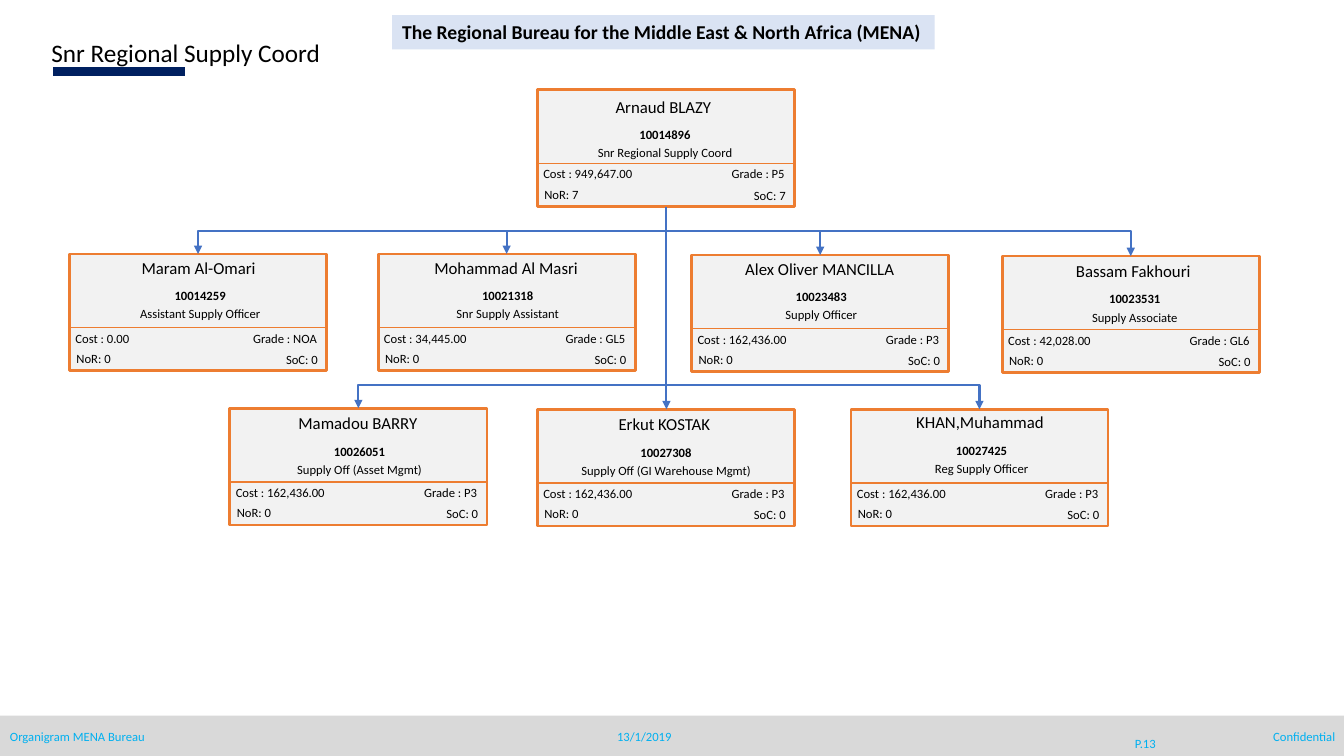
"""Build the organigram slide of the regional supply coordination team."""
from lxml.etree import SubElement
from pptx import Presentation
from pptx.dml.color import RGBColor
from pptx.enum.shapes import MSO_CONNECTOR as Connector, MSO_SHAPE as Shape
from pptx.enum.text import MSO_ANCHOR as Anchor, PP_ALIGN as Align
from pptx.oxml.ns import qn
from pptx.util import Inches, Pt

BLACK, ORANGE, BLUE, CYAN = "000000", "ED7D31", "4472C4", "00B0F0"
CARD_WIDTH, CARD_HEIGHT = 2.55, 1.16
TRUNK_X = 6.61


def write(shape, box, text, size=9, align=Align.LEFT, bold=False, color=BLACK,
          anchor=Anchor.TOP, wrap=True):
    shape.left, shape.top, shape.width, shape.height = map(Inches, box)
    frame = shape.text_frame
    frame.text = text
    frame.word_wrap, frame.vertical_anchor = wrap, anchor
    paragraph = frame.paragraphs[0]
    paragraph.alignment = align
    font = paragraph.runs[0].font
    for name, value in {"size": Pt(size), "bold": bold, "name": "Calibri"}.items():
        setattr(font, name, value)
    font.color.rgb = RGBColor.from_string(color)


def connect(start, end, color, width, kind=Connector.STRAIGHT, arrow=False):
    line = slide.shapes.add_connector(kind, *map(Inches, start + end))
    line.line.color.rgb = RGBColor.from_string(color)
    line.line.width = Pt(width)
    properties = line._element.spPr
    if kind == Connector.ELBOW:
        properties.find(qn("a:prstGeom")).set("prst", "bentConnector2")
    if arrow:
        SubElement(properties.find(qn("a:ln")), qn("a:tailEnd"), type="triangle")
    SubElement(properties, qn("a:effectLst"))


presentation = Presentation()
presentation.slide_width, presentation.slide_height = Inches(13.33), Inches(7.5)
slide = presentation.slides.add_slide(presentation.slide_layouts[5])

connect((0.53, 0.71), (1.84, 0.71), "002060", 7)
write(slide.shapes.title, (0.41, 0.32, 5.3, 0.41), "Snr Regional Supply Coord", 18)

footer_band = slide.shapes.add_shape(
    Shape.RECTANGLE, Inches(0), Inches(7.1), Inches(13.33), Inches(0.4))
footer_band.shadow.inherit = False
footer_band.fill.solid()
footer_band.fill.fore_color.rgb = RGBColor.from_string("D9D9D9")
footer_band.line.fill.background()

footers = [
    ((0, 7.18, 3.08, 0.25), "Organigram MENA Bureau", Align.LEFT, Anchor.TOP),
    ((5.95, 7.18, 0.88, 0.25), "13/1/2019", Align.CENTER, Anchor.MIDDLE),
    ((10.96, 7.18, 0.8, 0.4), "P.13", Align.CENTER, Anchor.MIDDLE),
    ((10.26, 7.18, 3.08, 0.25), "Confidential", Align.RIGHT, Anchor.TOP),
]
for box, text, align, anchor in footers:
    write(slide.shapes.add_textbox(0, 0, 0, 0), box, text, align=align,
          color=CYAN, anchor=anchor)

bureau = slide.shapes.add_textbox(0, 0, 0, 0)
bureau.fill.solid()
bureau.fill.fore_color.rgb = RGBColor.from_string("DAE3F3")
write(bureau, (3.89, 0.15, 5.38, 0.34),
      "The Regional Bureau for the Middle East & North Africa (MENA)",
      14, bold=True, wrap=False)

staff = [
    (5.33, 0.89, 5.29, 0.91, "Arnaud BLAZY", "10014896",
     "Snr Regional Supply Coord", "949,647.00", "P5", 7),
    (0.69, 2.52, 0.68, 2.51, "Maram Al-Omari", "10014259",
     "Assistant Supply Officer", "0.00", "NOA", 0),
    (3.75, 2.52, 3.73, 2.51, "Mohammad Al Masri", "10021318",
     "Snr Supply Assistant", "34,445.00", "GL5", 0),
    (6.86, 2.53, 6.84, 2.52, "Alex Oliver MANCILLA", "10023483",
     "Supply Officer", "162,436.00", "P3", 0),
    (9.94, 2.54, 9.95, 2.54, "Bassam Fakhouri", "10023531",
     "Supply Associate", "42,028.00", "GL6", 0),
    (2.28, 4.05, 2.26, 4.05, "Mamadou BARRY", "10026051",
     "Supply Off (Asset Mgmt)", "162,436.00", "P3", 0),
    (5.33, 4.06, 5.3, 4.06, "Erkut KOSTAK", "10027308",
     "Supply Off (GI Warehouse Mgmt)", "162,436.00", "P3", 0),
    (8.44, 4.06, 8.43, 4.04, "KHAN,Muhammad", "10027425",
     "Reg Supply Officer", "162,436.00", "P3", 0),
]
for left, top, head_left, head_top, name, number, role, cost, grade, reports in staff:
    card = slide.shapes.add_shape(
        Shape.RECTANGLE, *map(Inches, (left, top, CARD_WIDTH, CARD_HEIGHT)))
    card.shadow.inherit = False
    card.fill.solid()
    card.fill.fore_color.rgb = RGBColor.from_string("F2F2F2")
    card.line.color.rgb = RGBColor.from_string(ORANGE)
    card.line.width = Pt(2)
    connect((left, top + 0.73), (left + CARD_WIDTH, top + 0.73), ORANGE, 1)

    entries = [
        ((head_left, head_top, 2.58, 0.31), name, 12, Align.CENTER, False),
        ((head_left + 0.03, head_top + 0.3, 2.55, 0.25), number, 9, Align.CENTER, True),
        ((head_left + 0.03, head_top + 0.48, 2.55, 0.25), role, 9, Align.CENTER, False),
        ((left - 0.04, top + 0.71, 1.5, 0.25), f"Cost : {cost}", 9, Align.LEFT, False),
        ((left + 1.33, top + 0.71, 1.22, 0.25), f"Grade : {grade}", 9, Align.RIGHT, False),
        ((left - 0.03, top + 0.91, 0.79, 0.25), f"NoR: {reports}", 9, Align.LEFT, False),
        ((left + 1.54, top + 0.92, 1.02, 0.25), f"SoC: {reports}", 9, Align.RIGHT, False),
    ]
    for box, text, size, align, bold in entries:
        write(slide.shapes.add_textbox(0, 0, 0, 0), box, text, size, align, bold)

connect((TRUNK_X, 2.05), (TRUNK_X, 4.06), BLUE, 1.5, arrow=True)
for left, top, *details in staff[1:]:
    center = left + CARD_WIDTH / 2
    if abs(center - TRUNK_X) > 0.1:
        bus = 2.29 if top < 3 else 3.82
        connect((TRUNK_X, bus), (center, top), BLUE, 1.5, Connector.ELBOW, arrow=True)

presentation.save("out.pptx")
